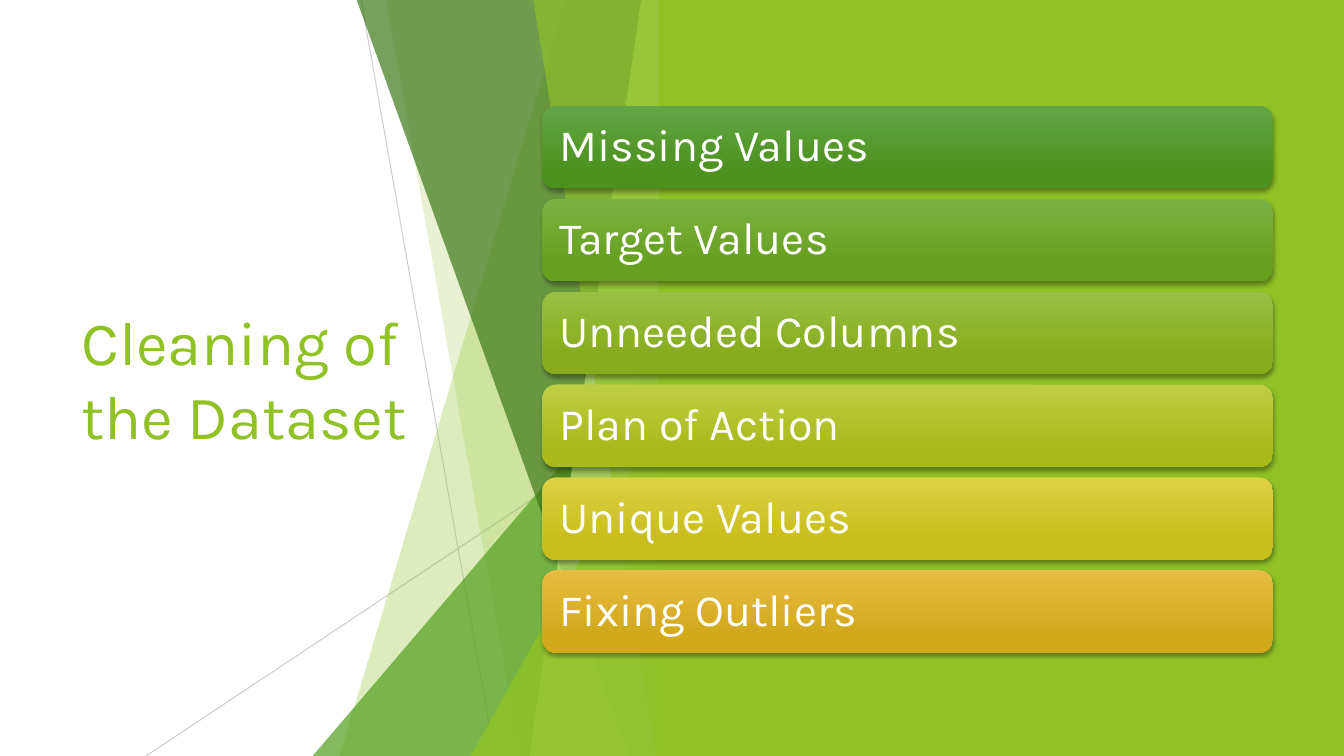
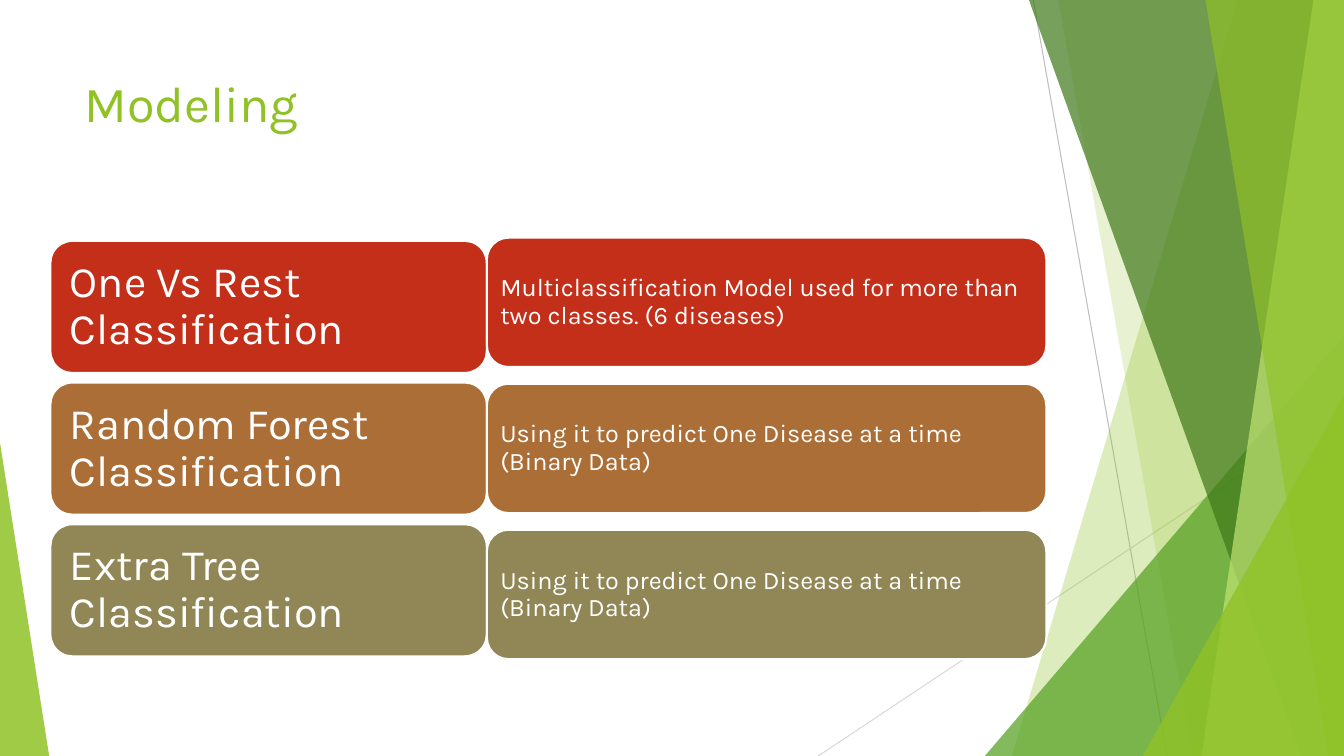
"""Build two slides on cleaning a dataset and modeling it."""
from pptx import Presentation, util as u
from pptx.dml.color import RGBColor
from pptx.enum import shapes, text
from pptx.oxml import ns, xmlchemy as xml

Cm = u.Cm
WIDE, HIGH = 33.87, 19.05
FONT = "Karla"
LIME, WHITE = "90C226", "FFFFFF"
KIND = shapes.MSO_SHAPE
MID, TOP = text.MSO_ANCHOR.MIDDLE, text.MSO_ANCHOR.TOP

# Each pane: x at its top, y of its top, x at its foot, colour, opacity
PANES = [
    (31.19, 0, 25.5, LIME, 30),
    (26.67, 0, 30.05, LIME, 20),
    (WIDE, 8.46, 24.82, "54A021", 72),
    (25.93, 0, 32.79, "3F7819", 70),
    (33.1, 0, 30.28, "C0E474", 70),
    (30.38, 0, 33.48, LIME, 65),
    (WIDE, 9.98, 28.8, LIME, 80),
]
STEPS = [
    ("Missing Values", "63A545", "4D921E"),
    ("Target Values", "7BB244", "679F1E"),
    ("Unneeded Columns", "99C044", "86AC1D"),
    ("Plan of Action", "BDCE43", "A9BA1B"),
    ("Unique Values", "DCD143", "C8BD1A"),
    ("Fixing Outliers", "E7BC43", "D2A91B"),
]
BINARY = "Using it to predict One Disease at a time (Binary Data)"
MODELS = [
    ("One Vs Rest Classification",
     "Multiclassification Model used for more than two classes. (6 diseases)",
     "C42F1A"),
    ("Random Forest Classification", BINARY, "AB6E37"),
    ("Extra Tree Classification", BINARY, "918655"),
]


def tint(color, code):
    """Set a colour from a hex string."""
    color.rgb = RGBColor.from_string(code)


def child(node, tag, **attrs):
    """Add an XML child with the given attributes."""
    item = xml.OxmlElement(tag)
    for key, value in attrs.items():
        item.set(key, str(value))
    node.append(item)
    return item


def paint(shape, code, alpha=100):
    """Fill a shape with one colour, without line or shadow."""
    shape.shadow.inherit = False
    shape.line.fill.background()
    shape.fill.solid()
    tint(shape.fill.fore_color, code)
    if alpha < 100:
        color = shape._element.spPr.find(".//" + ns.qn("a:srgbClr"))
        child(color, "a:alpha", val=alpha * 1000)


def block(slide, kind, left, top, width, height):
    """Add a preset shape."""
    return slide.shapes.add_shape(kind, Cm(left), Cm(top), Cm(width), Cm(height))


def wedge(slide, left, top, width, peak, code, alpha):
    """Add a triangle that stands on the foot of the slide."""
    shape = block(slide, KIND.ISOSCELES_TRIANGLE, left, top, width, HIGH - top)
    shape.adjustments[0] = peak
    paint(shape, code, alpha)


def pane(slide, head, foot, edge, code, alpha):
    """Add a full-height pane with a slanted left side."""
    path = slide.shapes.build_freeform(Cm(head), 0)
    path.add_line_segments(
        [(Cm(edge), 0), (Cm(edge), Cm(HIGH)), (Cm(foot), Cm(HIGH))])
    paint(path.convert_to_shape(), code, alpha)


def rule(slide, start, end, code):
    """Add a thin line."""
    line = slide.shapes.add_connector(
        shapes.MSO_CONNECTOR.STRAIGHT, *map(Cm, start + end))
    tint(line.line.color, code)
    line.line.width = u.Pt(0.75)
    child(line._element.spPr, "a:effectLst")


def facets(slide, edge, steep, flat):
    """Draw the crossing panes and lines up to a right edge."""
    shift = edge - WIDE
    rule(slide, (26.04 + shift, 0), (29.41 + shift, HIGH), steep)
    rule(slide, (edge, 10.24), (20.62 + shift, HIGH), flat)
    for head, top, foot, code, alpha in PANES:
        if top:
            wedge(slide, foot + shift, top, WIDE - foot, 1, code, alpha)
        else:
            pane(slide, head + shift, foot + shift, edge, code, alpha)


def write(shape, words, size, code, anchor, space=1.0):
    """Put wrapped, left-aligned text in a shape."""
    frame = shape.text_frame
    frame.text = words
    frame.word_wrap = True
    frame.vertical_anchor = anchor
    para = frame.paragraphs[0]
    para.alignment = text.PP_ALIGN.LEFT
    para.line_spacing = space
    font = para.runs[0].font
    font.name, font.size = FONT, u.Pt(size)
    tint(font.color, code)


def title(slide, words, box, size, anchor):
    """Add the slide title."""
    shape = slide.shapes.add_textbox(*map(Cm, box))
    write(shape, words, size, LIME, anchor)


def card(slide, words, box, size, pad, code):
    """Add a rounded card with text."""
    shape = block(slide, KIND.ROUNDED_RECTANGLE, *box)
    paint(shape, code)
    write(shape, words, size, WHITE, MID, 0.9)
    frame = shape.text_frame
    frame.margin_left = frame.margin_right = Cm(pad)
    frame.margin_top = frame.margin_bottom = Cm(pad)
    return shape


def shade(shape, light, dark):
    """Give a card a downward gradient and a soft shadow."""
    shape.fill.gradient()
    shape.fill.gradient_angle = 270
    for stop, code, place in zip(
            shape.fill.gradient_stops, (light, dark), (0, 0.78)):
        tint(stop.color, code)
        stop.position = place
    effects = shape._element.spPr.find(ns.qn("a:effectLst"))
    drop = child(effects, "a:outerShdw", blurRad=u.Pt(3), dist=u.Pt(2),
                 dir=5400000, rotWithShape=0)
    child(child(drop, "a:srgbClr", val="000000"), "a:alpha", val=35000)


def outline(shape):
    """Give a card a white line."""
    tint(shape.line.color, WHITE)
    shape.line.width = u.Pt(1.5)


def cleaning(slide):
    """Fill the slide on cleaning."""
    title(slide, "Cleaning of the Dataset", (1.8, 3.84, 9.86, 11.38), 44, MID)
    facets(slide, 16.93, "CFCFCF", "CCCCCC")
    panel = block(slide, KIND.RECTANGLE, 16.6, 0, WIDE - 16.6, HIGH)
    paint(panel, LIME)
    for row, (words, light, dark) in enumerate(STEPS):
        box = (13.67, 2.67 + 2.34 * row, 18.41, 2.08)
        shade(card(slide, words, box, 32, 0.33, dark), light, dark)


def modeling(slide):
    """Fill the slide on models."""
    facets(slide, WIDE, "BFBFBF", "D9D9D9")
    wedge(slide, 0, 11.15, 1.24, 0, LIME, 85)
    title(slide, "Modeling", (1.88, 1.7, 23.88, 3.66), 36, TOP)
    for row, (name, note, code) in enumerate(MODELS):
        left = (1.27, 6.07 + 3.57 * row, 11, 3.33)
        right = (12.27, 5.99 + 3.68 * row, 14.1, 3.26)
        outline(card(slide, name, left, 31, 0.33, code))
        outline(card(slide, note, right, 18, 0.18, code))


def main():
    """Build and save the deck."""
    deck = Presentation()
    deck.slide_width, deck.slide_height = Cm(WIDE), Cm(HIGH)
    for fill in (cleaning, modeling):
        fill(deck.slides.add_slide(deck.slide_layouts[6]))
    deck.save("out.pptx")


if __name__ == "__main__":
    main()
